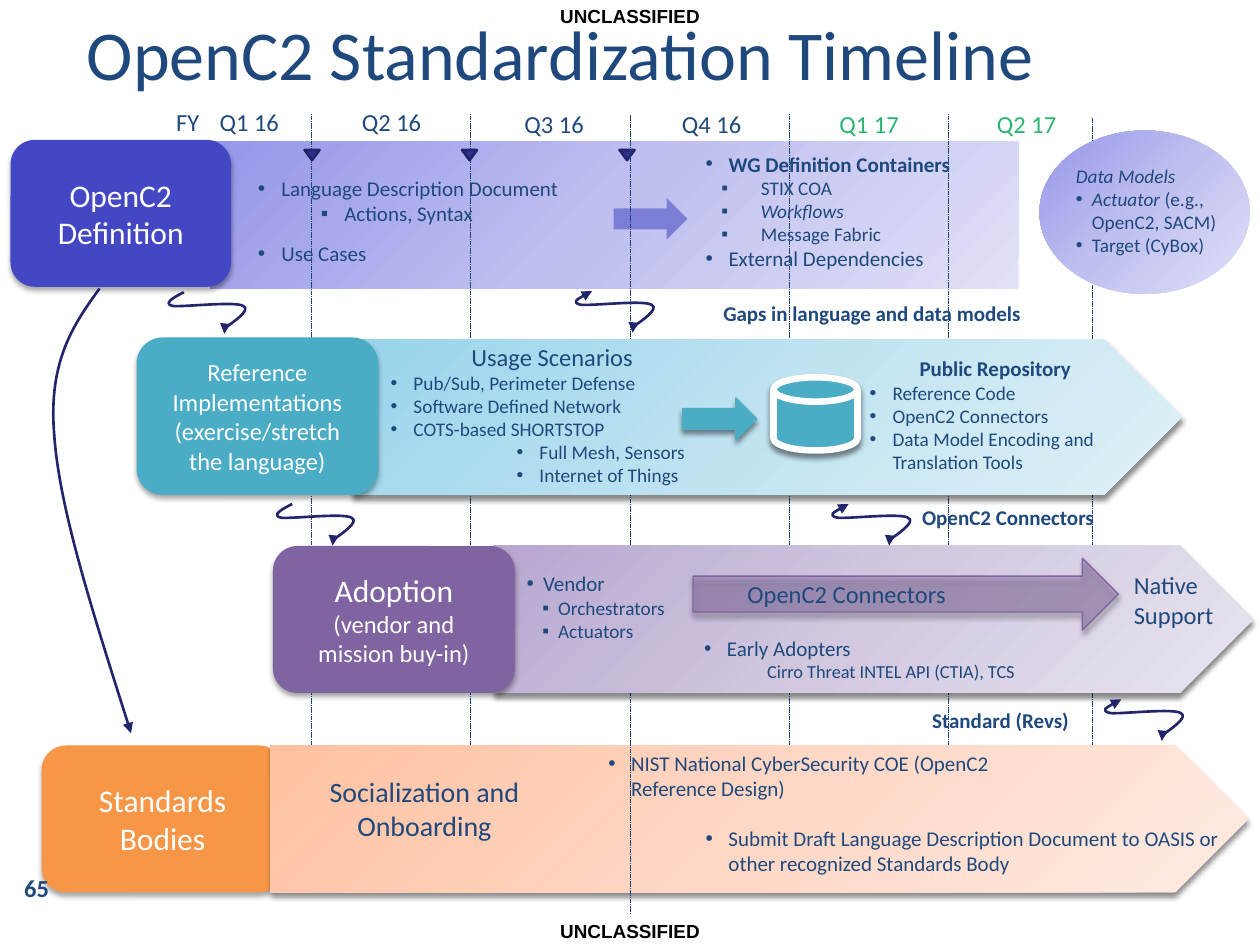
from lxml import etree
from pptx import Presentation
from pptx import util as u
from pptx.dml import color
from pptx.enum import dml, shapes, text
from pptx.oxml import ns

Pt = u.Pt
SHAPE = shapes.MSO_SHAPE
LEFT, CENTER = text.PP_ALIGN.LEFT, text.PP_ALIGN.CENTER
COLORS = {
    "navy": "1F497D", "green": "2AB573", "white": "FFFFFF", "black": "000000",
    "ink": "22246C", "marker": "2E3092", "blue": "4447C4", "arrow": "7C7ED6",
    "teal": "4BACC6", "purple": "8064A2", "orange": "F79646",
}
GRADIENTS = {
    "blue": ("9697EA", "C0C0F0", "E0E0F7"), "teal": ("98D4EB", "C0E3F1", "E0F1F7"),
    "purple": ("B7A7D0", "D2C9E0", "E9E4EF"), "orange": ("FFC1A1", "FFD7C5", "FFEBE3"),
}
LABEL_SHADOW, BAND_SHADOW = (35, 3, 2), (45, 3, 2.4)
SWIRL = [(8.6, 0), (2.9, 2.9), (-3.6, 6.5), (2.2, 7.9), (7.9, 8.6), (38.2, 5),
         (42.5, 7.9), (47.5, 10.1), (29.5, 22.3), (29.5, 22.3)]
SWIRL_TIP = (31.7, 23.8)
ARC = [(26.7, 0), (12.3, 20.1), (-2.8, 41), (0.8, 83.5),
       (3.6, 126), (24.5, 190.1), (44.7, 254.1)]


def rgb(name):
    """Return the named colour."""
    return color.RGBColor.from_string(COLORS[name])


def sub(parent, tag, **attrs):
    """Append a DrawingML element."""
    e = etree.SubElement(parent, ns.qn("a:" + tag))
    for key, value in attrs.items():
        e.set(key, str(value))
    return e


def para(runs, size=12, bu=None, left=0, hang=0, level=0, align=LEFT, **fmt):
    """Describe a paragraph; runs is a string or a list of (text, format)."""
    runs = [(runs, {})] if isinstance(runs, str) else runs
    return dict(runs=runs, size=size, bu=bu, left=left, hang=hang,
                level=level, align=align, fmt=fmt)


def dot(runs, size=12, left=13, hang=13, **fmt):
    """Describe a round-bulleted paragraph."""
    return para(runs, size, "•", left, hang, **fmt)


def square(runs, size, left, hang, **fmt):
    """Describe a second-level square-bulleted paragraph."""
    return para(runs, size, "▪", left, hang, level=1, **fmt)


def write(tf, paras, ink="navy", font="Calibri", anchor=text.MSO_ANCHOR.MIDDLE):
    """Fill a text frame with described paragraphs."""
    for key, value in dict(word_wrap=True, auto_size=text.MSO_AUTO_SIZE.NONE,
                           vertical_anchor=anchor).items():
        setattr(tf, key, value)
    for i, d in enumerate(paras):
        p = tf.add_paragraph() if i else tf.paragraphs[0]
        p.alignment, p.level = d["align"], d["level"]
        pPr = p._p.get_or_add_pPr()
        pPr.set("marL", str(Pt(d["left"])))
        pPr.set("indent", str(-Pt(d["hang"])))
        if d["bu"]:
            sub(pPr, "buFont", typeface="Arial")
            sub(pPr, "buChar", char=d["bu"])
        for words, extra in d["runs"]:
            r = p.add_run()
            r.text = words
            r.font.color.rgb = rgb(ink)
            for key, value in dict(name=font, size=Pt(d["size"]), **{**d["fmt"], **extra}).items():
                setattr(r.font, key, value)


def textbox(s, box, *paras, **style):
    """Add a text box at (left, top, width, height)."""
    write(s.shapes.add_textbox(*map(Pt, box)).text_frame, paras, **style)


def shape(s, kind, box, fill=None, gradient=None, line=None, width=0.79, shadow=None, alpha=None):
    """Add a preset shape with a plain or radial gradient fill."""
    sp = s.shapes.add_shape(kind, *map(Pt, box))
    spPr = sp._element.spPr
    sp.shadow.inherit = False
    sp.fill.solid()
    if gradient:
        grad = etree.Element(ns.qn("a:gradFill"), rotWithShape="1")
        stops = sub(grad, "gsLst")
        for pos, value in zip((0, 50000, 100000), GRADIENTS[gradient]):
            sub(sub(stops, "gs", pos=pos), "srgbClr", val=value)
        sub(sub(grad, "path", path="circle"), "fillToRect", r=100000, b=100000)
        spPr.replace(spPr.find(ns.qn("a:solidFill")), grad)
    else:
        sp.fill.fore_color.rgb = rgb(fill)
        if alpha:
            sub(spPr.find(ns.qn("a:solidFill"))[0], "alpha", val=alpha * 1000)
    if line:
        sp.line.color.rgb, sp.line.width = rgb(line), Pt(width)
    else:
        sp.line.fill.background()
    if shadow:
        opacity, blur, dist = shadow
        e = sub(spPr.find(ns.qn("a:effectLst")), "outerShdw", blurRad=Pt(blur),
                dist=Pt(dist), dir=5400000, rotWithShape=0)
        sub(sub(e, "srgbClr", val=COLORS["black"]), "alpha", val=opacity * 1000)
    return sp


def label(s, box, fill, *paras):
    """Add a rounded stage label."""
    tf = shape(s, SHAPE.ROUNDED_RECTANGLE, box, fill, shadow=LABEL_SHADOW).text_frame
    tf.margin_left = tf.margin_right = Pt(12)
    write(tf, paras, ink="white")


def curve(s, box, points, tip=None, both=False):
    """Draw an open arrowed chain of cubic curves inside a box."""
    fb = s.shapes.build_freeform(0, 0)
    fb.add_line_segments([(Pt(box[2]), Pt(box[3]))], close=False)
    sp = fb.convert_to_shape()
    for key, value in zip(("left", "top", "width", "height"), box):
        setattr(sp, key, Pt(value))
    outline = sp._element.find(".//" + ns.qn("a:path"))
    for child in list(outline):
        outline.remove(child)
    parts = [("moveTo", points[:1])]
    parts += [("cubicBezTo", points[i:i + 3]) for i in range(1, len(points), 3)]
    parts += [("lnTo", [tip])] if tip else []
    for tag, pts in parts:
        e = sub(outline, tag)
        for x, y in pts:
            sub(e, "pt", x=Pt(x), y=Pt(y))
    sp.shadow.inherit = False
    sp.fill.background()
    sp.line.color.rgb, sp.line.width = rgb("ink"), Pt(1.5)
    ln = sp._element.spPr.find(ns.qn("a:ln"))
    for end in ("headEnd", "tailEnd") if both else ("tailEnd",):
        sub(ln, end, type="triangle")


def divider(s, x, top, bottom):
    """Draw a dashed quarter divider."""
    c = s.shapes.add_connector(shapes.MSO_CONNECTOR.STRAIGHT, Pt(x), Pt(top), Pt(x), Pt(bottom))
    c.line.color.rgb, c.line.width = rgb("navy"), Pt(0.25)
    c.line.dash_style = dml.MSO_LINE.SQUARE_DOT
    sub(c._element.spPr, "effectLst")


def definition(s):
    """Draw the quarters and the definition stage."""
    divider(s, 624.2, 67.7, 488.9)
    shape(s, SHAPE.RECTANGLE, (120.2, 80.8, 462, 84.2), gradient="blue")
    label(s, (6, 79.9, 126, 84), "blue", para("OpenC2 Definition", 18, align=CENTER))
    for x, bottom in ((178, 484.6), (268.6, 486.7), (451, 484.6), (542, 484.6)):
        divider(s, x, 65, bottom)
    textbox(s, (88.6, 60.2, 37.4, 18.7), para("FY", 14, align=CENTER))
    quarters = (("Q1 16 ", 113.8, 60.2), ("Q2 16 ", 195.1, 60.2), ("Q3 16 ", 288, 61.2),
                ("Q4 16 ", 378, 61.2), ("Q1 17 ", 468, 61.2), ("Q2 17 ", 558, 61.2))
    for name, x, y in quarters:
        textbox(s, (x, y, 60.5, 18.7), para(name, 14, align=CENTER),
                ink="green" if "17" in name else "navy")
    textbox(s, (140.2, 98.8, 234, 31.7), dot("Language Description Document", left=13.5, hang=13.5),
            square("Actions, Syntax", 12, 49.5, 13.5))
    textbox(s, (140.2, 134.8, 101.5, 20.2), dot("Use Cases", left=13.5, hang=13.5))
    shape(s, SHAPE.RIGHT_ARROW, (350.6, 113.2, 42.2, 23.8), "arrow")
    textbox(s, (396.2, 81, 186.5, 79.2), dot("WG Definition Containers", bold=True),
            square("STIX COA", 11, 31.5, 22.5), square("Workflows", 11, 31.5, 22.5, italic=True),
            square("Message Fabric", 11, 31.5, 22.5), dot("External Dependencies"))
    textbox(s, (390.4, 167.8, 216, 22.3),
            para("Gaps in language and data models", align=CENTER, bold=True))
    for i in range(3):
        shape(s, SHAPE.ISOSCELES_TRIANGLE, (174 + 90 * i, 85.7, 8.6, 5.8),
              "marker", line="ink", width=1.5).rotation = 180
    shape(s, SHAPE.OVAL, (594, 74.6, 120.2, 93.4), gradient="blue")
    textbox(s, (607.7, 84.4, 118.1, 71.3), para("Data Models", 11, italic=True),
            dot([("Actuator", dict(italic=True)), (" (e.g., OpenC2, SACM)", {})], 11, 9.2, 9.2),
            dot("Target (CyBox)", 11, 9.2, 9.2))


def standards(s):
    """Draw the standards bodies stage."""
    label(s, (23.8, 426, 138.2, 84), "orange", para("Standards Bodies", 18, align=CENTER))
    shape(s, SHAPE.PENTAGON, (154.6, 426, 558.9, 84), gradient="orange", shadow=BAND_SHADOW)
    textbox(s, (340.6, 425, 247.7, 36.7),
            dot("NIST National CyberSecurity COE (OpenC2 Reference Design)"))
    textbox(s, (396.2, 462.2, 312.5, 48.2),
            dot("Submit Draft Language Description Document to OASIS or other recognized "
                "Standards Body", level=1))
    textbox(s, (525.6, 398.2, 121.7, 26.6), para("Standard (Revs)", bold=True))
    divider(s, 360, 65.5, 522)
    textbox(s, (164, 443.5, 157, 36.7), para("Socialization and Onboarding", 16, align=CENTER))


def adoption(s):
    """Draw the adoption stage."""
    textbox(s, (519.8, 284.2, 171.4, 23), para("OpenC2 Connectors", bold=True))
    shape(s, SHAPE.PENTAGON, (282.2, 311.8, 434.2, 84.2), gradient="purple", shadow=BAND_SHADOW)
    textbox(s, (293.8, 324, 116.6, 45.4), dot("Vendor", left=9.4, hang=9.4),
            square("Orchestrators", 11, 18, 9), square("Actuators", 11, 18, 9))
    textbox(s, (395.3, 358.6, 195.1, 36), dot("Early Adopters"),
            para("Cirro Threat INTEL API (CTIA), TCS", 10.5, left=36, level=1))
    shape(s, SHAPE.RIGHT_ARROW, (396, 319, 243, 41), "purple", line="purple",
          shadow=BAND_SHADOW, alpha=39)
    textbox(s, (420, 327.8, 180.7, 23), para("OpenC2 Connectors", 14))
    textbox(s, (640.8, 330.5, 69.8, 24.5), para("Native Support", 14))
    label(s, (156, 312, 138.2, 84), "purple", para("Adoption", 18, align=CENTER),
          para("(vendor and mission buy-in)", 14, align=CENTER))


def reference(s):
    """Draw the reference implementations stage."""
    shape(s, SHAPE.PENTAGON, (201.6, 194, 473.8, 88.8), gradient="teal", shadow=BAND_SHADOW)
    scenarios = ("Pub/Sub, Perimeter Defense", "Software Defined Network", "COTS-based SHORTSTOP")
    networks = ("Full Mesh, Sensors", "Internet of Things")
    textbox(s, (216.2, 198.2, 198.7, 77), para("Usage Scenarios", 14, align=CENTER),
            *[dot(t, 11) for t in scenarios], *[dot(t, 11, 85, level=2) for t in networks])
    contents = ("Reference Code", "OpenC2 Connectors", "Data Model Encoding and Translation Tools")
    textbox(s, (489.9, 197.6, 157.7, 78.5), para("Public Repository", align=CENTER, bold=True),
            *[dot(t, 11) for t in contents])
    shape(s, SHAPE.RIGHT_ARROW, (390.2, 227.5, 42.2, 23.8), "teal", line="teal", shadow=BAND_SHADOW)
    shape(s, SHAPE.FLOWCHART_MAGNETIC_DISK, (442, 215.6, 48, 41.8), "teal", line="white",
          width=3.75, shadow=BAND_SHADOW)
    label(s, (78, 192.8, 138.2, 90), "teal",
          para("Reference Implementations (exercise/stretch the language)", 14, align=CENTER))


def main():
    """Build the timeline slide."""
    prs = Presentation()
    prs.slide_width, prs.slide_height = Pt(720), Pt(540)
    s = prs.slides.add_slide(prs.slide_layouts[5])
    title = s.shapes.title
    for key, value in dict(left=42.5, top=2.2, width=617.8, height=46.1).items():
        setattr(title, key, Pt(value))
    write(title.text_frame, [para("OpenC2 Standardization Timeline", 40)],
          anchor=text.MSO_ANCHOR.TOP)
    for stage in (definition, standards, adoption, reference):
        stage(s)
    swirls = ((96.5, 167, False), (158.4, 288, False), (329.8, 166.3, True),
              (476.4, 288, True), (632.2, 399.6, True))
    for x, y, both in swirls:
        curve(s, (x, y, 43.2, 23.8), SWIRL, SWIRL_TIP, both)
    curve(s, (30.2, 164.9, 44.7, 254.1), ARC)
    textbox(s, (0, 492, 41.8, 30.2), para("65", 14, align=CENTER, bold=True))
    for y in (0, 522.7):
        textbox(s, (0, y, 720, 18), para("UNCLASSIFIED", 10.8, align=CENTER, bold=True),
                ink="black", font="Arial")
    prs.save("out.pptx")


if __name__ == "__main__":
    main()
